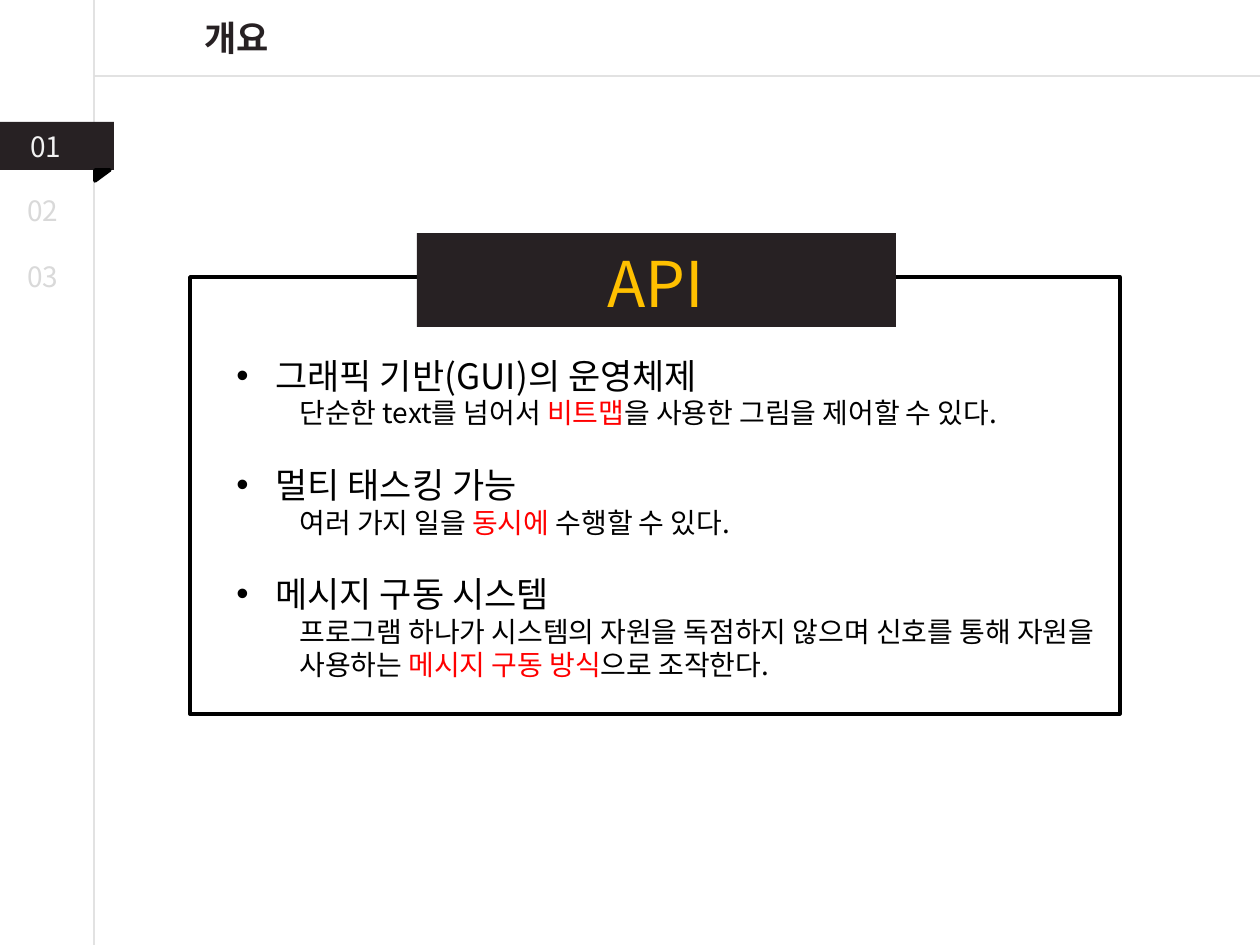
from lxml import etree
from pptx import Presentation
from pptx import util as u
from pptx.dml.color import RGBColor
from pptx.enum import shapes, text
from pptx.oxml.ns import qn

PX_PER_INCH = 126
WIDTH, HEIGHT = 1260, 945
FONT = "Noto Sans CJK KR"

WHITE = RGBColor(0xFF, 0xFF, 0xFF)
BLACK = RGBColor(0x00, 0x00, 0x00)
DARK = RGBColor(0x27, 0x21, 0x23)
RULE_GREY = RGBColor(0xA6, 0xA6, 0xA6)
ACTIVE_GREY = RGBColor(0xF2, 0xF2, 0xF2)
IDLE_GREY = RGBColor(0xD9, 0xD9, 0xD9)
GOLD = RGBColor(0xFF, 0xC0, 0x00)
RED = RGBColor(0xFF, 0x00, 0x00)

HEADING_SIZE, DETAIL_SIZE = 20, 16
HEADING_LEADING, DETAIL_LEADING = 24.5, 19
BULLET_INDENT, DETAIL_INDENT = 39, 63

# Each topic: heading, then its detail as (text, colour) spans.
TOPICS = [
    ("그래픽 기반(GUI)의 운영체제",
     [("단순한 text를 넘어서 ", BLACK), ("비트맵", RED),
      ("을 사용한 그림을 제어할 수 있다.", BLACK)]),
    ("멀티 태스킹 가능",
     [("여러 가지 일을 ", BLACK), ("동시에", RED), (" 수행할 수 있다.", BLACK)]),
    ("메시지 구동 시스템",
     [("프로그램 하나가 시스템의 자원을 독점하지 않으며 신호를 통해 자원을 사용하는 ", BLACK),
      ("메시지 구동 방식", RED), ("으로 조작한다.", BLACK)]),
]


def px(length):
    return u.Emu(round(length * 914400 / PX_PER_INCH))


def add_rule(page, x1, y1, x2, y2):
    """Add a thin, half-transparent grey line."""
    rule = page.shapes.add_connector(
        shapes.MSO_CONNECTOR.STRAIGHT, px(x1), px(y1), px(x2), px(y2))
    rule.line.color.rgb = RULE_GREY
    rule.line.width = u.Pt(0.75)
    colour = rule.line._ln.find(".//" + qn("a:srgbClr"))
    etree.SubElement(colour, qn("a:alpha"), val="50000")
    etree.SubElement(rule._element.spPr, qn("a:effectLst"))


def add_block(parent, kind, left, top, width, height, fill=None, line=None):
    block = parent.add_shape(kind, px(left), px(top), px(width), px(height))
    block.shadow.inherit = False
    if fill is None:
        block.fill.background()
    else:
        block.fill.solid()
        block.fill.fore_color.rgb = fill
    if line is None:
        block.line.fill.background()
    else:
        block.line.color.rgb = line
        block.line.width = u.Pt(2)
    return block


def add_text_frame(parent, left, top, width, height):
    box = parent.add_textbox(px(left), px(top), px(width), px(height))
    box.text_frame.word_wrap = True
    box.text_frame.vertical_anchor = text.MSO_ANCHOR.TOP
    return box.text_frame


def add_span(para, words, size, colour, bold=False):
    span = para.add_run()
    span.text = words
    span.font.name = FONT
    span.font.size = u.Pt(size)
    span.font.bold = bold
    span.font.color.rgb = colour
    etree.SubElement(span.font._element, qn("a:ea"), typeface=FONT)


def add_label(parent, words, area, size, colour, bold=False, centred=False):
    """Add a text box that holds one line."""
    para = add_text_frame(parent, *area).paragraphs[0]
    para.alignment = text.PP_ALIGN.CENTER if centred else text.PP_ALIGN.LEFT
    para.line_spacing = u.Pt(round(size * 1.28, 1))
    add_span(para, words, size, colour, bold)


def set_indent(para, left, first=0):
    properties = para._p.get_or_add_pPr()
    properties.set("marL", str(px(left)))
    properties.set("indent", str(px(first)))
    return properties


def add_topic(heading, detail, heading_words, detail_spans):
    heading.line_spacing = u.Pt(HEADING_LEADING)
    properties = set_indent(heading, BULLET_INDENT, -BULLET_INDENT)
    etree.SubElement(properties, qn("a:buFont"), typeface="Arial")
    etree.SubElement(properties, qn("a:buChar"), char="•")
    add_span(heading, heading_words, HEADING_SIZE, BLACK)

    detail.line_spacing = u.Pt(DETAIL_LEADING)
    detail.space_after = u.Pt(DETAIL_LEADING)
    set_indent(detail, DETAIL_INDENT)
    for words, colour in detail_spans:
        add_span(detail, words, DETAIL_SIZE, colour)


def add_navigation(page):
    rectangle = shapes.MSO_SHAPE.RECTANGLE
    add_block(page.shapes, rectangle, 0, 122, 114, 48, fill=DARK)
    fold = add_block(page.shapes, shapes.MSO_SHAPE.RIGHT_TRIANGLE,
                     97, 168, 11, 15, fill=BLACK, line=BLACK)
    fold.rotation = 90
    add_label(page.shapes, "01", (18, 121, 74, 47), 16, ACTIVE_GREY)
    for words, top in (("02", 185), ("03", 251)):
        add_label(page.shapes, words, (15, top, 62, 47), 16, IDLE_GREY)


def add_panel(page):
    """Add the framed panel with its banner."""
    panel = page.shapes.add_group_shape().shapes
    rectangle = shapes.MSO_SHAPE.RECTANGLE
    add_block(panel, rectangle, 190, 277, 930, 437, line=BLACK)
    add_block(panel, rectangle, 417, 233, 479, 94, fill=DARK)
    add_label(panel, "API", (374, 233, 563, 89), 36, GOLD, centred=True)


def add_topics(page):
    frame = add_text_frame(page.shapes, 224, 347, 890, 344)
    for index, topic in enumerate(TOPICS):
        heading = frame.add_paragraph() if index else frame.paragraphs[0]
        add_topic(heading, frame.add_paragraph(), *topic)


def main():
    deck = Presentation()
    deck.slide_width, deck.slide_height = px(WIDTH), px(HEIGHT)
    page = deck.slides.add_slide(deck.slide_layouts[6])
    page.background.fill.solid()
    page.background.fill.fore_color.rgb = WHITE

    add_rule(page, 94, 0, 94, HEIGHT)
    add_rule(page, 95, 76, WIDTH, 76)
    add_navigation(page)
    add_panel(page)
    add_topics(page)
    add_label(page.shapes, "개요", (102, 8, 270, 55), 20, DARK,
              bold=True, centred=True)
    deck.save("out.pptx")


if __name__ == "__main__":
    main()
